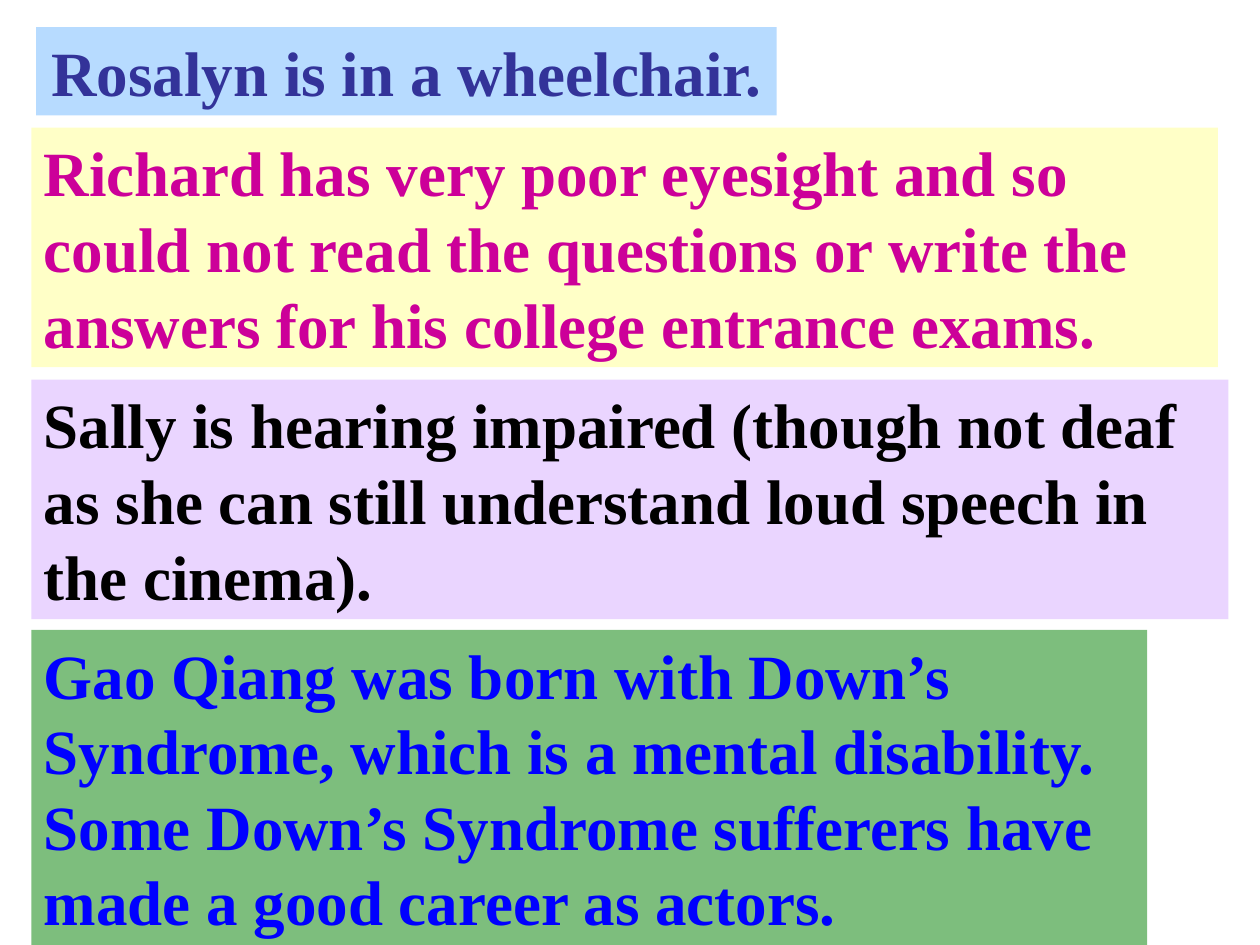
from pptx import Presentation
from pptx.dml.color import RGBColor
from pptx.enum.text import MSO_AUTO_SIZE, PP_ALIGN
from pptx.oxml.ns import qn
from pptx.util import Pt
from lxml import etree

CENTER, LEFT = PP_ALIGN.CENTER, PP_ALIGN.LEFT
GROW = MSO_AUTO_SIZE.SHAPE_TO_FIT_TEXT
FONT, SIZE, LEAD = "Times New Roman", 36, 43.2
PAD_X, PAD_Y = 7.2, 3.6

# Content: text, lines, left, top, width, text colour, fill, opacity %, wrap
NOTES = [
    ("Rosalyn is in a wheelchair.",
     1, 20.6, 15.6, 423.2, "333399", "99CCFF", 70, False),
    ("Richard has very poor eyesight and so could not read the questions "
     "or write the answers for his college entrance exams.",
     3, 18, 73, 678, "CC0099", "FFFF99", 54, True),
    ("Sally is hearing impaired (though not deaf as she can still "
     "understand loud speech in the cinema).",
     3, 18, 217, 684, "000000", "CC99FF", 41, True),
    ("Gao Qiang was born with Down’s Syndrome, which is a mental disability. "
     "Some Down’s Syndrome sufferers have made a good career as actors.",
     4, 18, 360, 637.5, "0000FF", "008000", 51, True),
]


def paint(color, code):
    color.rgb = RGBColor.from_string(code)


def add_note(slide, text, lines, left, top, width, ink, back, alpha, wrap):
    high = lines * LEAD + 2 * PAD_Y
    box = slide.shapes.add_textbox(Pt(left), Pt(top), Pt(width), Pt(high))

    # See-through fill
    box.fill.solid()
    paint(box.fill.fore_color, back)
    tint = box.fill._xPr.find(qn("a:solidFill"))[0]
    etree.SubElement(tint, qn("a:alpha")).set("val", str(alpha * 1000))

    # Text
    frame = box.text_frame
    frame.word_wrap = wrap
    frame.auto_size = GROW
    frame.margin_left = frame.margin_right = Pt(PAD_X)
    frame.margin_top = frame.margin_bottom = Pt(PAD_Y)
    para = frame.paragraphs[0]
    para.alignment = LEFT if wrap else CENTER
    para.line_spacing = Pt(LEAD)
    run = para.add_run()
    run.text = text
    run.font.name, run.font.size, run.font.bold = FONT, Pt(SIZE), True
    paint(run.font.color, ink)


def main():
    deck = Presentation()
    deck.slide_width, deck.slide_height = Pt(720), Pt(540)
    slide = deck.slides.add_slide(deck.slide_layouts[6])
    for note in NOTES:
        add_note(slide, *note)
    deck.save("out.pptx")


if __name__ == "__main__":
    main()
